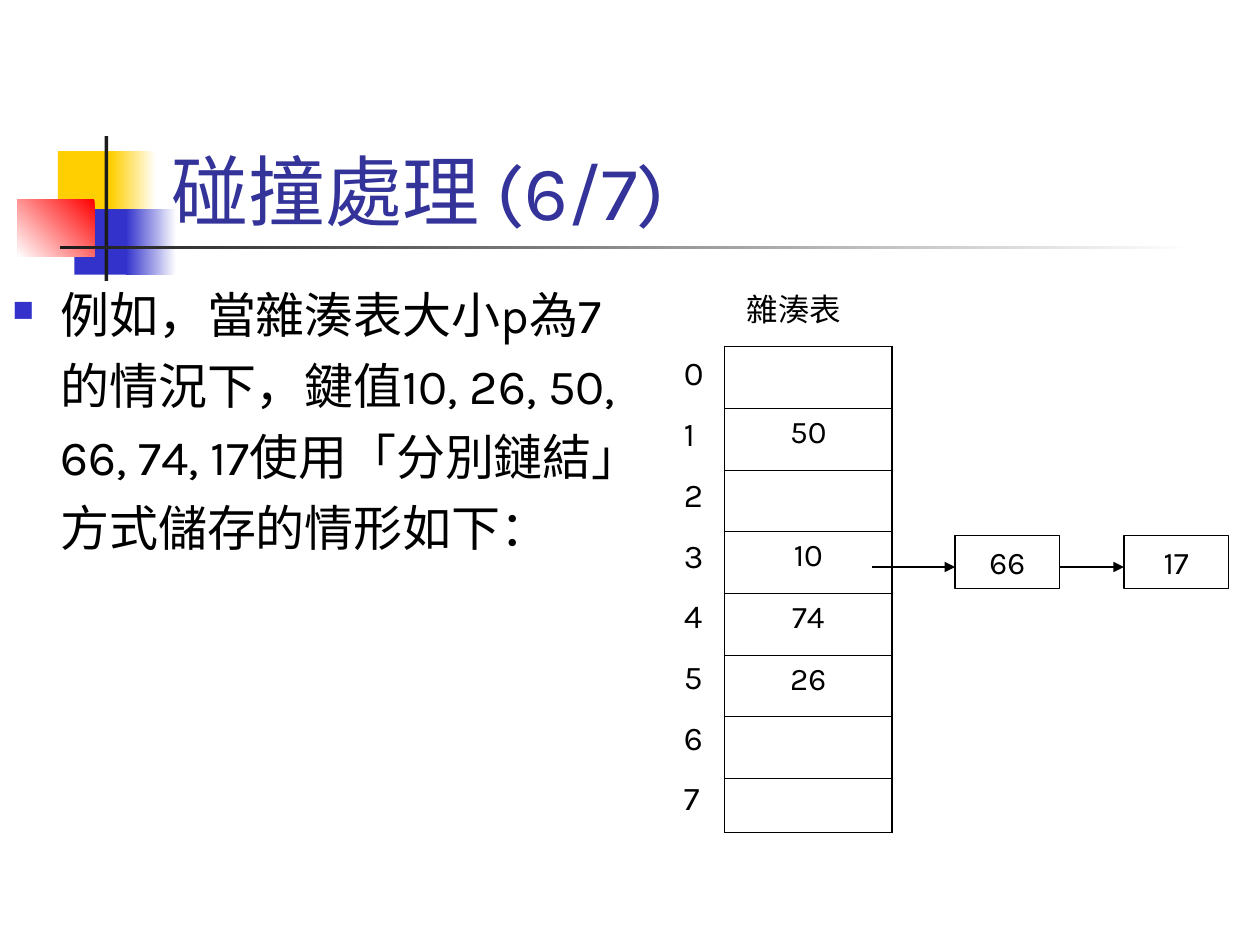
from lxml import etree
from pptx import Presentation
from pptx.dml.color import RGBColor
from pptx.enum import shapes, text
from pptx.oxml import ns
from pptx.util import Inches, Pt

COLORS = {
    "yellow": "FFCF01",
    "blue": "3333CC",
    "red": "FF0000",
    "white": "FFFFFF",
    "dark": "1C1C1C",
    "title": "333399",
    "black": "000000",
}
FONT = "Karla"


def rgb(name):
    return RGBColor.from_string(COLORS[name])


def add_xml(parent, tag, **attributes):
    return etree.SubElement(parent, ns.qn(tag), attributes)


def write(frame, lines, size=18, color="black", align=text.PP_ALIGN.LEFT,
          anchor=text.MSO_ANCHOR.TOP, gap=0, indent=0, bullet=None, wrap=True):
    frame.word_wrap = wrap
    frame.vertical_anchor = anchor
    for i, line in enumerate(lines):
        paragraph = frame.paragraphs[0] if i == 0 else frame.add_paragraph()
        paragraph.alignment = align
        if i:
            paragraph.space_before = Pt(gap)
        properties = paragraph._p.get_or_add_pPr()
        if indent:
            properties.set("marL", str(Inches(indent)))
            properties.set("indent", str(-Inches(indent) if bullet and i == 0 else 0))
        if bullet and i == 0:
            bullet_color = add_xml(properties, "a:buClr")
            add_xml(bullet_color, "a:srgbClr", val=COLORS["blue"])
            add_xml(properties, "a:buSzPct", val="60000")
            add_xml(properties, "a:buChar", char=bullet)
        paragraph.font.size = Pt(size)
        run = paragraph.add_run()
        run.text = line
        run.font.name = FONT
        run.font.size = Pt(size)
        run.font.color.rgb = rgb(color)


def add_text(slide, box, lines, **style):
    frame = slide.shapes.add_textbox(*map(Inches, box)).text_frame
    write(frame, lines, **style)


def add_block(slide, box, colors, angle=180):
    block = slide.shapes.add_shape(shapes.MSO_SHAPE.RECTANGLE, *map(Inches, box))
    block.shadow.inherit = False
    block.line.fill.background()
    if len(colors) == 1:
        block.fill.solid()
        block.fill.fore_color.rgb = rgb(colors[0])
        return
    block.fill.gradient()
    block.fill.gradient_angle = angle
    for stop, color, position in zip(block.fill.gradient_stops, colors, (0, 1)):
        stop.color.rgb = rgb(color)
        stop.position = position


def add_ornament(slide, left, top):
    parts = [
        (0.32, 0.12, 0.48, 0.52, ["yellow"], 180),
        (0.74, 0.12, 0.36, 0.52, ["white", "yellow"], 180),
        (0.45, 0.58, 0.46, 0.52, ["blue"], 180),
        (0.86, 0.58, 0.4, 0.52, ["white", "blue"], 180),
        (0, 0.5, 0.61, 0.46, ["red", "white"], 225),
        (0.69, 0, 0.03, 1.15, ["dark"], 180),
        (0.34, 0.87, 9, 0.03, ["white", "dark"], 180),
    ]
    for x, y, width, height, colors, angle in parts:
        add_block(slide, (left + x, top + y, width, height), colors, angle)


def set_borders(cell, widths):
    properties = cell._tc.get_or_add_tcPr()
    for side, width in widths.items():
        border = add_xml(properties, f"a:ln{side}", w=str(Pt(width)))
        fill = add_xml(border, "a:solidFill")
        add_xml(fill, "a:srgbClr", val=COLORS["black"])


def add_hash_table(slide, left, top, width, row_height, last_height, values):
    add_text(slide, (left + 0.08, top - 0.5, 1.08, 0.4), ["雜湊表"])
    count = len(values)
    height = row_height * (count - 1) + last_height
    table = slide.shapes.add_table(
        count, 1, *map(Inches, (left, top, width, height))).table
    table.first_row = False
    table.horz_banding = False
    outer, inner = 1.08, 0.45
    for i, value in enumerate(values):
        last = i == count - 1
        table.rows[i].height = Inches(last_height if last else row_height)
        cell = table.cell(i, 0)
        set_borders(cell, {"L": outer, "R": outer,
                           "T": inner if i else outer,
                           "B": outer if last else inner})
        cell.fill.background()
        if value:
            write(cell.text_frame, [value], align=text.PP_ALIGN.CENTER)
        else:
            cell.text_frame.paragraphs[0].font.size = Pt(18)
    add_text(slide, (left - 0.42, top, 0.42, 3.79),
             [str(i) for i in range(count)], size=19, gap=11.9)


def add_arrow(slide, start, end, y):
    arrow = slide.shapes.add_connector(
        shapes.MSO_CONNECTOR.STRAIGHT, *map(Inches, (start, y, end, y)))
    arrow.line.color.rgb = rgb("black")
    arrow.line.width = Pt(0.75)
    add_xml(arrow.line._get_or_add_ln(), "a:tailEnd", type="triangle")
    add_xml(arrow._element.spPr, "a:effectLst")


def add_chain(slide, left, top, width, height, pitch, keys):
    arrow_start = left - 0.66
    for i, key in enumerate(keys):
        x = left + i * pitch
        node = slide.shapes.add_shape(
            shapes.MSO_SHAPE.RECTANGLE, *map(Inches, (x, top, width, height)))
        node.shadow.inherit = False
        node.fill.background()
        node.line.color.rgb = rgb("black")
        node.line.width = Pt(0.75)
        write(node.text_frame, [key], align=text.PP_ALIGN.CENTER,
              anchor=text.MSO_ANCHOR.MIDDLE, wrap=False)
        add_arrow(slide, arrow_start, x, top + 0.25)
        arrow_start = x + width


def main():
    presentation = Presentation()
    presentation.slide_width = Inches(10)
    presentation.slide_height = Inches(7.5)
    slide = presentation.slides.add_slide(presentation.slide_layouts[6])
    add_ornament(slide, 0.14, 1.08)
    add_text(slide, (1.26, 0.67, 8.52, 1.25), ["碰撞處理 (6/7)"], size=44,
             color="title", anchor=text.MSO_ANCHOR.BOTTOM)
    add_text(slide, (0, 2.21, 10, 5.29), [
        "例如，當雜湊表大小p為7",
        "的情況下，鍵值10, 26, 50,",
        "66, 74, 17使用「分別鏈結」",
        "方式儲存的情形如下：",
    ], size=28, gap=7, indent=0.38, bullet="■")
    add_hash_table(slide, 5.75, 2.75, 1.33, 0.49, 0.43,
                   ["", "50", "", "10", "74", "26", "", ""])
    add_chain(slide, 7.58, 4.25, 0.83, 0.42, 1.34, ["66", "17"])
    presentation.save("out.pptx")


if __name__ == "__main__":
    main()
